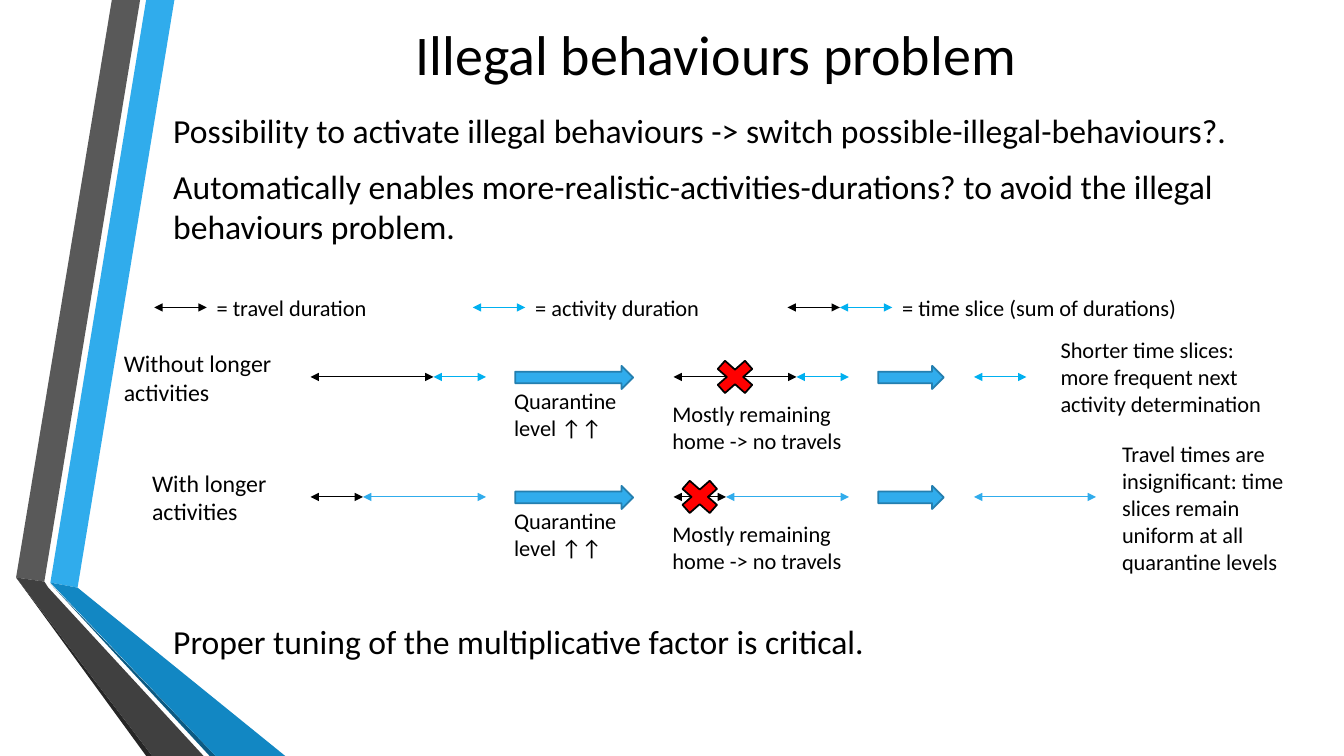
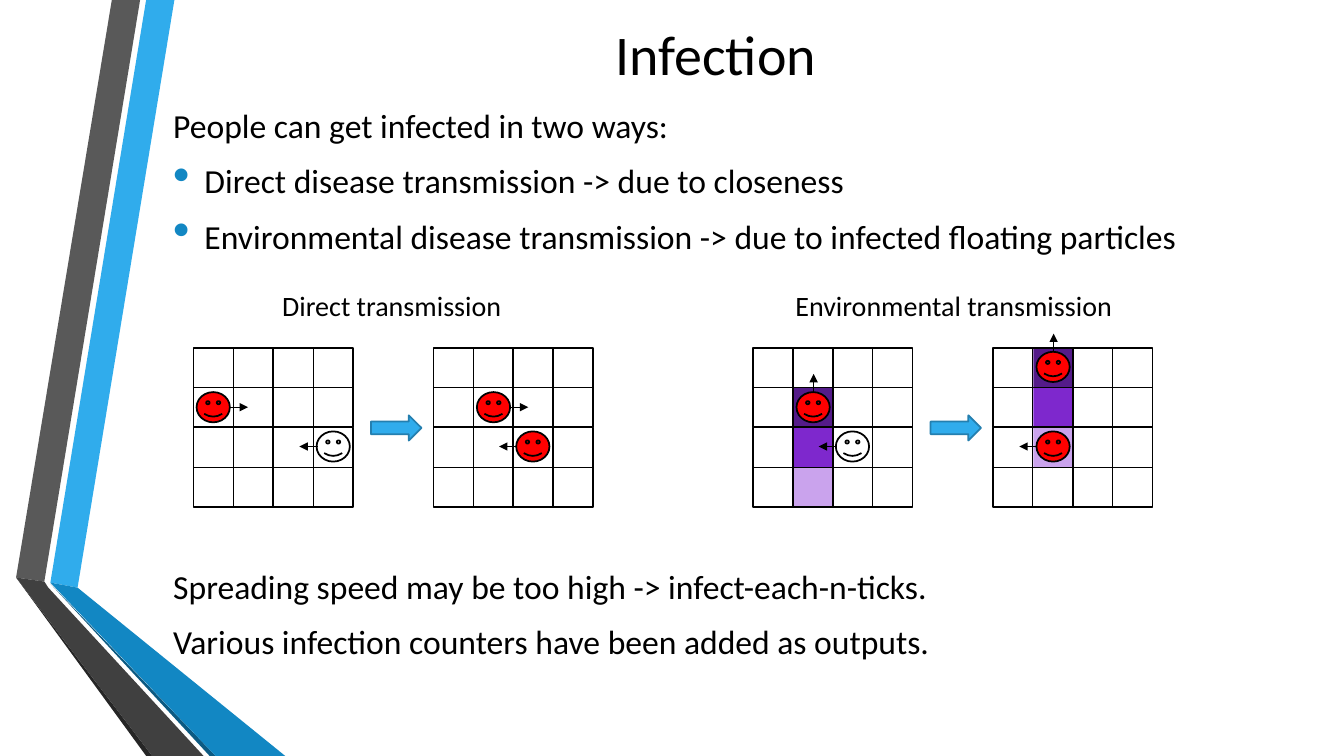
from lxml.etree import SubElement as Sub
from pptx import Presentation
from pptx.dml.color import RGBColor
from pptx.enum.shapes import MSO_CONNECTOR as Link, MSO_SHAPE as Kind
from pptx.enum.text import MSO_ANCHOR as Anchor, MSO_AUTO_SIZE as Fit, PP_ALIGN as Align
from pptx.oxml.ns import qn
from pptx.util import Emu, Pt

BLACK, RED, SKY, CYAN = "000000", "FF0000", "30ACEC", "00B0F0"
EDGE, DOT = "247FAF", "1287C3"
DEEP, MID, PALE = "541B89", "7E28CD", "CAA3ED"
BANDS = [
    (SKY, [(50, 578), (77, 583), (173, 0), (145, 0)]),
    ("595959", [(139, 0), (111, 0), (16, 573), (44, 577)]),
    ("262626", [(16, 573), (145, 750), (151, 750)]),
    ("0C5A82", [(50, 579), (208, 750), (214, 750)]),
    (DOT, [(50, 578), (214, 750), (283, 750), (77, 583)]),
    ("404040", [(202, 750), (48, 583), (44, 577), (16, 573), (151, 750)]),
]
SCALE = 9144  # 100 px to the inch


def px(*nums):
    return [Emu(n * SCALE) for n in nums]


def rgb(code):
    return RGBColor.from_string(code)


class Deck:
    def __init__(self):
        self.prs = Presentation()
        self.prs.slide_width, self.prs.slide_height = px(1333, 750)
        self.base = self.prs.slide_layouts[5]
        self.slide = None

    def start(self, title):
        self.slide = self.prs.slides.add_slide(self.base)
        head = self.slide.shapes.title
        head.left, head.top, head.width, head.height = px(162, 6, 1096, 93)
        frame = head.text_frame
        frame.text = title
        frame.vertical_anchor = Anchor.MIDDLE
        frame.auto_size = Fit.NONE
        para = frame.paragraphs[0]
        para.alignment = Align.CENTER
        self.font(para, 40)

    def bands(self):
        """Draw the side bands once and move them to the shared layout."""
        for num, (fill, pts) in enumerate(BANDS):
            pen = self.slide.shapes.build_freeform(*pts[0], scale=SCALE)
            pen.add_line_segments(pts[1:], close=True)
            band = pen.convert_to_shape()
            self.paint(band, fill, None)
            band.element.nvSpPr.cNvPr.set("id", str(101 + num))
            self.base.shapes.element.insert(2 + num, band.element)

    def font(self, para, size):
        para.font.name = "Calibri"
        para.font.size = Pt(size)
        para.font.color.rgb = rgb(BLACK)

    def paint(self, shape, fill, edge):
        shape.shadow.inherit = False
        if fill:
            shape.fill.solid()
            shape.fill.fore_color.rgb = rgb(fill)
        else:
            shape.fill.background()
        if edge:
            shape.line.color.rgb = rgb(edge)
            shape.line.width = Pt(1.25)
        else:
            shape.line.fill.background()

    def shape(self, kind, x, y, w, h, fill=None, edge=BLACK):
        item = self.slide.shapes.add_shape(kind, *px(x, y, w, h))
        self.paint(item, fill, edge)
        return item

    def arrow(self, x, y, w, h):
        self.shape(Kind.RIGHT_ARROW, x, y, w, h, SKY, EDGE)

    def label(self, x, y, w, h, text, size=16):
        frame = self.slide.shapes.add_textbox(*px(x, y, w, h)).text_frame
        frame.word_wrap = True
        frame.auto_size = Fit.SHAPE_TO_FIT_TEXT
        frame.text = text
        self.font(frame.paragraphs[0], size)

    def body(self, y, h, lines, dots=()):
        """Large text; dots holds the indexes of bulleted lines."""
        frame = self.slide.shapes.add_textbox(*px(162, y, 1096, h)).text_frame
        frame.word_wrap = True
        frame.vertical_anchor = Anchor.MIDDLE
        frame.text = "\n".join(lines)
        for num, para in enumerate(frame.paragraphs):
            para.space_before, para.space_after = Pt(4.8), Pt(6)
            if num in dots:
                self.bullet(para)
            self.font(para, 24)

    def bullet(self, para):
        props = para._p.get_or_add_pPr()
        indent = 31 * SCALE
        props.set("marL", str(indent))
        props.set("indent", str(-indent))
        Sub(Sub(props, qn("a:buClr")), qn("a:srgbClr"), val=DOT)
        Sub(props, qn("a:buSzPct"), val="145000")
        Sub(props, qn("a:buChar"), char="•")

    def line(self, x, y, to_x, to_y, ink=BLACK, ends=()):
        item = self.slide.shapes.add_connector(Link.STRAIGHT, *px(x, y, to_x, to_y))
        item.line.color.rgb = rgb(ink)
        item.line.width = Pt(0.75)
        props = item.element.spPr
        for end in ends:
            Sub(props.find(qn("a:ln")), qn("a:" + end), type="triangle")
        Sub(props, qn("a:effectLst"))
        return item

    def span(self, x, y, w, ink=BLACK):
        """Double-headed arrow that stands for a duration."""
        self.line(x, y, x + w, y, ink, ("headEnd", "tailEnd"))

    def flow(self, y, split, ink, rest):
        """One row of time slices, before and after quarantine."""
        full = 174
        for x in (308, 668):
            self.span(x, y, split)
            self.span(x + split, y, full - split, ink)
        self.shape(Kind.MATH_MULTIPLY, 668 + split // 2 - 26, y - 23, 52, 46, RED)
        for x, w in ((511, 117), (871, 65)):
            self.arrow(x, y - 11, w, 23)
        self.span(966, y, rest, ink)
        self.label(500, y + 5, 139, 64, "Quarantine level ↑↑")
        self.label(657, y + 18, 195, 64, "Mostly remaining home -> no travels")

    def grid(self, x, faces, shades=()):
        """Four-by-four grid; faces are (column, row, fill, dx, dy)."""
        top, half = 345, 79

        def cell(col, row):
            return x + (half * col + 1) // 2, top + (half * row + 1) // 2

        for row, fill in shades:
            self.shape(Kind.RECTANGLE, *cell(1, row), 40, 40, fill, None)
        box = {(c, r): self.shape(Kind.RECTANGLE, x + c * half, top + r * half, half, half)
               for r in range(2) for c in range(2)}
        for i in range(2):
            for first, last, site in (((i, 0), (i, 1), 0), ((0, i), (1, i), 1)):
                rule = self.line(x, top, x, top)
                rule.begin_connect(box[first], site)
                rule.end_connect(box[last], site + 2)
        for col, row, fill, dx, dy in faces:
            left, high = cell(col, row)
            self.shape(Kind.SMILEY_FACE, left + 3, high + 4, 33, 30, fill)
            mid_x, mid_y = left + 20 + dx * 16, high + 19 + dy * 15
            self.line(mid_x, mid_y, mid_x + dx * 18, mid_y + dy * 18, ends=["tailEnd"])


def illegal(deck):
    deck.body(99, 156, [
        "Possibility to activate illegal behaviours -> switch possible-illegal-behaviours?.",
        "Automatically enables more-realistic-activities-durations? to avoid the illegal "
        "behaviours problem.",
    ])
    for x, ink, w, text in (
        (153, BLACK, 192, "= travel duration"),
        (469, CYAN, 208, "= activity duration"),
        (833, CYAN, 334, "= time slice (sum of durations)"),
    ):
        deck.span(x, 305, 52, ink)
        deck.label(x + 52, 287, w, 37, text)
    deck.span(781, 305, 52)
    deck.flow(374, 122, CYAN, 52)
    deck.flow(493, 52, SKY, 121)
    deck.label(113, 341, 177, 67, "Without longer activities", 17)
    deck.label(141, 460, 143, 67, "With longer activities", 17)
    deck.label(1042, 329, 229, 91,
               "Shorter time slices: more frequent next activity determination")
    deck.label(1103, 432, 195, 145, "Travel times are insignificant: time slices "
               "remain uniform at all quarantine levels")
    deck.body(603, 65, ["Proper tuning of the multiplicative factor is critical."])


def infect(deck):
    deck.body(99, 160, [
        "People can get infected in two ways:",
        "Direct disease transmission -> due to closeness",
        "Environmental disease transmission -> due to infected floating particles",
    ], dots=(1, 2))
    deck.body(549, 119, [
        "Spreading speed may be too high -> infect-each-n-ticks.",
        "Various infection counters have been added as outputs.",
    ])
    deck.label(270, 281, 246, 44, "Direct transmission", 20)
    deck.label(779, 281, 337, 44, "Environmental transmission", 20)
    deck.grid(192, [(0, 1, RED, 1, 0), (3, 2, None, -1, 0)])
    deck.grid(430, [(1, 1, RED, 1, 0), (2, 2, RED, -1, 0)])
    deck.grid(747, [(1, 1, RED, 0, -1), (2, 2, None, -1, 0)],
              [(1, DEEP), (2, MID), (3, PALE)])
    deck.grid(985, [(1, 0, RED, 0, -1), (1, 2, RED, -1, 0)],
              [(0, DEEP), (1, MID), (2, PALE)])
    for x in (368, 923):
        deck.arrow(x, 412, 50, 25)


def main():
    deck = Deck()
    deck.start("Illegal behaviours problem")
    deck.bands()
    illegal(deck)
    deck.start("Infection")
    infect(deck)
    deck.prs.save("out.pptx")


if __name__ == "__main__":
    main()
